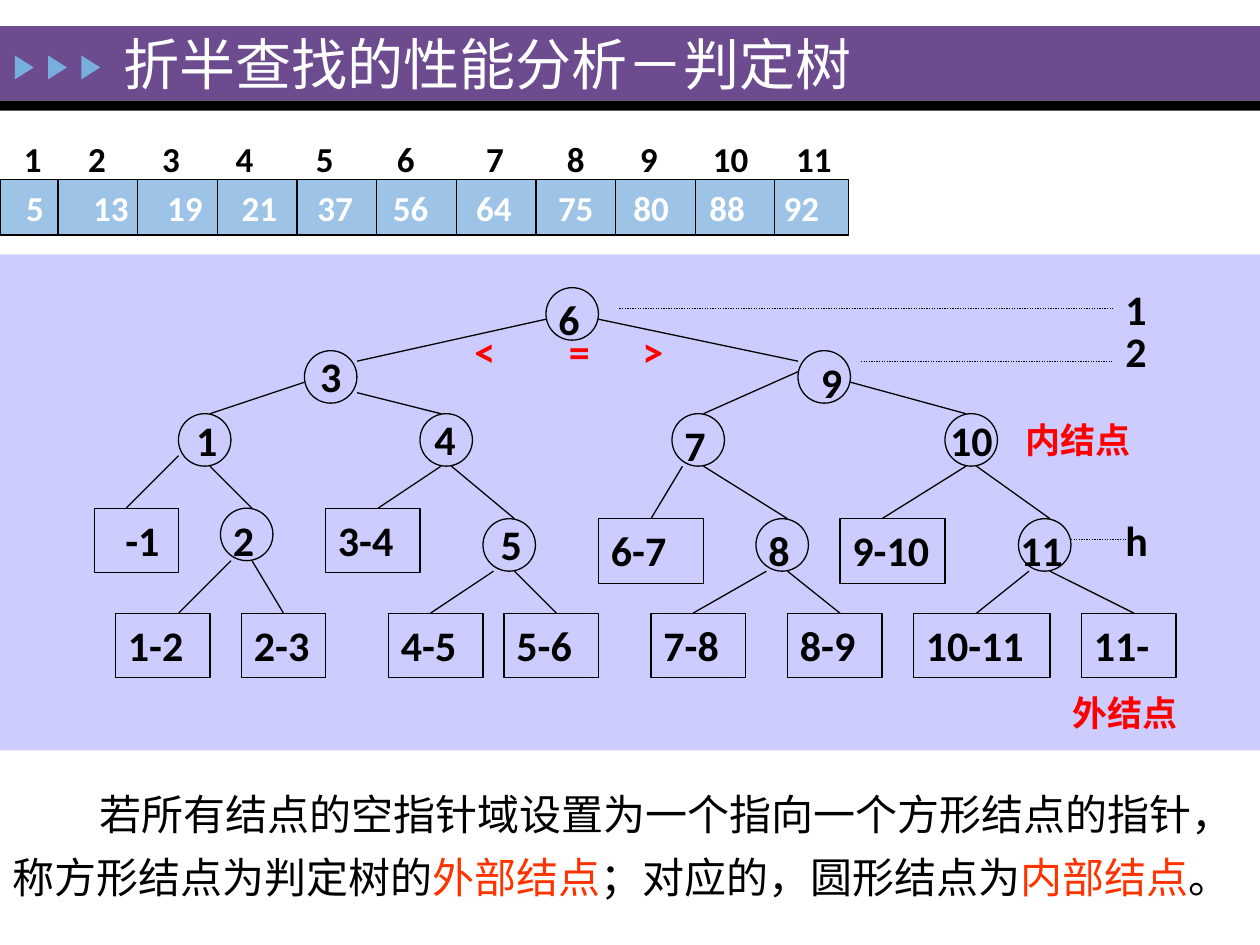
from lxml.etree import SubElement
from pptx import Presentation
from pptx.dml.color import RGBColor
from pptx.enum.dml import MSO_LINE
from pptx.enum.shapes import MSO_CONNECTOR, MSO_SHAPE
from pptx.enum.text import MSO_ANCHOR, PP_ALIGN
from pptx.oxml.ns import qn
from pptx.util import Cm, Pt

COLORS = {
    "banner": "6C4C8F", "arrow": "76AEDD", "panel": "CCCCFF", "array": "9DC3E6",
    "black": "000000", "white": "FFFFFF", "red": "FF0000", "accent": "FF3300",
}
UNIT = 2.54 / 12
TREE_TOP = 5.8
NODE_SIZE = 5
LEAF_HEIGHT = 6.15

INDEXES = list(range(1, 12))
INDEX_TABS = [1.3, 2.79, 4.27, 5.89, 7.52, 9.32, 10.95, 12.42, 13.89, 15.57]
VALUES = [5, 13, 19, 21, 37, 56, 64, 75, 80, 88, 92]
VALUE_TABS = [1.35, 2.84, 4.34, 5.87, 7.39, 9.07, 10.72, 12.24, 13.77, 15.27]

# Tree measures count grid units: column, row, then label column and row or leaf width.
NODES = [
    ("6", 52, 0, 52, 0), ("3", 29, 6, 29.3, 5.4), ("9", 76, 6, 77, 6),
    ("1", 17, 12, 17.5, 11.5), ("4", 40, 12, 40.2, 11.4), ("7", 64, 12, 64, 12),
    ("10", 90, 12, 89.3, 11.5), ("2", 21, 21, 21, 21), ("5", 46, 22, 46.5, 21.4),
    ("8", 72, 22, 72, 22), ("11", 97, 22, 96, 22),
]
LEAVES = [
    ("-1", 9, 21, 8), ("3-4", 31, 21, 9), ("6-7", 57, 22, 10), ("9-10", 80, 22, 10),
    ("1-2", 11, 31, 9), ("2-3", 23, 31, 8), ("4-5", 37, 31, 9), ("5-6", 48, 31, 9),
    ("7-8", 62, 31, 9), ("8-9", 75, 31, 9), ("10-11", 87, 31, 13), ("11-", 103, 31, 9),
]
EDGES = [
    (52, 3, 34, 7), (57, 3, 76, 7), (29, 9, 20, 12), (34, 10, 42, 12),
    (76, 8, 67, 12), (81, 9, 92, 12), (17, 16, 12, 21), (20, 17, 24, 21),
    (42, 17, 36, 21), (43, 17, 49, 22), (65, 17, 62, 22), (67, 17, 75, 22),
    (92, 17, 84, 22), (93, 17, 100, 22), (22, 26, 17, 31), (24, 26, 27, 31),
    (47, 27, 41, 31), (49, 27, 53, 31), (73, 27, 66, 31), (75, 27, 80, 31),
    (98, 27, 93, 31), (100, 27, 108, 31),
]
LEVEL_LINES = [(59, 2, 106, 2), (82, 7, 106, 7), (102, 24, 108, 24)]
TREE_LABELS = [
    ("1", 106, -1, 6, 24, "black"), ("2", 106, 3, 7, 24, "black"),
    ("h", 106, 21, 6, 24, "black"), ("外结点", 101, 37.9, 13, 20, "red"),
    ("内结点", 96.5, 11.9, 13, 20, "red"), (">", 60, 3, 9, 24, "red"),
    ("<", 44, 3, 6, 24, "red"), ("=", 53, 3, 7, 24, "red"),
]
EXPLANATION = [
    ("若所有结点的空指针域设置为一个指向一个方形结点的指针，称方形结点为判定树的", "black"),
    ("外部结点", "accent"), ("；对应的，圆形结点为", "black"),
    ("内部结点", "accent"), ("。", "black"),
]


def rgb(name):
    """Return the named colour."""
    return RGBColor.from_string(COLORS[name])


def tree_x(column):
    """Convert a tree column to centimetres."""
    return column * UNIT


def tree_y(row):
    """Convert a tree row to centimetres."""
    return TREE_TOP + row * UNIT


def write_text(shape, text, size=24, color="black", bold=False, anchor=MSO_ANCHOR.TOP,
               wrap=True, first_indent=0, line_spacing=None, inset=0.25, tabs=()):
    """Write a string, or a list of (string, colour) runs, into a shape."""
    frame = shape.text_frame
    frame.word_wrap = wrap
    frame.vertical_anchor = anchor
    frame.margin_left = Cm(inset)
    paragraph = frame.paragraphs[0]
    paragraph.alignment = PP_ALIGN.LEFT
    if line_spacing:
        paragraph.line_spacing = line_spacing
    properties = paragraph._p.get_or_add_pPr()
    if first_indent:
        properties.set("marL", "0")
        properties.set("indent", str(Cm(first_indent)))
    if tabs:
        tab_list = SubElement(properties, qn("a:tabLst"))
        for position in tabs:
            SubElement(tab_list, qn("a:tab"), pos=str(Cm(position)), algn="l")
    for words, run_color in [(text, color)] if isinstance(text, str) else text:
        run = paragraph.add_run()
        run.text = words
        run.font.name = "Calibri"
        run.font.size = Pt(size)
        run.font.bold = bold
        run.font.color.rgb = rgb(run_color)


def add_text(slide, text, left, top, width, height, **text_format):
    """Add a text box with formatted text."""
    box = slide.shapes.add_textbox(Cm(left), Cm(top), Cm(width), Cm(height))
    write_text(box, text, **text_format)


def add_block(slide, kind, left, top, width, height, fill=None, outlined=False):
    """Add a preset shape with an optional fill and thin black outline."""
    shape = slide.shapes.add_shape(kind, Cm(left), Cm(top), Cm(width), Cm(height))
    shape.shadow.inherit = False
    if fill:
        shape.fill.solid()
        shape.fill.fore_color.rgb = rgb(fill)
    else:
        shape.fill.background()
    if outlined:
        shape.line.color.rgb = rgb("black")
        shape.line.width = Pt(0.75)
    else:
        shape.line.fill.background()
    return shape


def add_line(slide, start_x, start_y, end_x, end_y, dotted=False):
    """Add a thin straight connector."""
    line = slide.shapes.add_connector(
        MSO_CONNECTOR.STRAIGHT, Cm(start_x), Cm(start_y), Cm(end_x), Cm(end_y))
    line.line.color.rgb = rgb("black")
    line.line.width = Pt(0.75)
    if dotted:
        line.line.dash_style = MSO_LINE.ROUND_DOT
    SubElement(line._element.spPr, qn("a:effectLst"))
    return line


def add_header(slide):
    """Draw the title banner with its three arrows."""
    add_block(slide, MSO_SHAPE.RECTANGLE, 0, 0.53, 25.4, 1.5, "banner")
    add_block(slide, MSO_SHAPE.RECTANGLE, 0, 2.03, 25.4, 0.2, "black")
    for position in range(3):
        arrow = add_block(slide, MSO_SHAPE.ISOSCELES_TRIANGLE,
                          0.25 + 0.67 * position, 1.17, 0.48, 0.38, "arrow")
        arrow.rotation = 90
    add_text(slide, "折半查找的性能分析－判定树", 2.24, 0.56, 20.62, 1.42,
             size=32, color="white", anchor=MSO_ANCHOR.MIDDLE)


def add_array(slide):
    """Draw the sorted array with its indexes above."""
    add_text(slide, "\t".join(map(str, INDEXES)), 0.23, 2.64, 16.9, 1.11,
             size=20, bold=True, wrap=False, tabs=INDEX_TABS)
    array = add_block(slide, MSO_SHAPE.RECTANGLE, 0, 3.62, 17.1, 1.12, "array", True)
    write_text(array, "\t".join(map(str, VALUES)), size=20, color="white", bold=True,
               anchor=MSO_ANCHOR.MIDDLE, wrap=False, inset=0.53, tabs=VALUE_TABS)
    first, last = 1.17, 15.62
    gaps = len(VALUES) - 2
    for position in range(gaps + 1):
        column = first + (last - first) * position / gaps
        add_line(slide, column, 3.62, column, 4.74)


def add_tree(slide):
    """Draw the decision tree with its nodes, leaves, edges and labels."""
    add_block(slide, MSO_SHAPE.RECTANGLE, 0, 5.13, 25.4, 10, "panel")
    leaf_tops = {}
    for text, column, row, width in LEAVES:
        leaf = add_block(slide, MSO_SHAPE.RECTANGLE, tree_x(column), tree_y(row),
                         width * UNIT, LEAF_HEIGHT * UNIT, outlined=True)
        write_text(leaf, text, bold=True, first_indent=0.37 if text == "-1" else 0)
        leaf_tops[column + width / 2, row] = leaf
    for text, column, row, label_column, label_row in NODES:
        add_block(slide, MSO_SHAPE.OVAL, tree_x(column), tree_y(row),
                  NODE_SIZE * UNIT, NODE_SIZE * UNIT, outlined=True)
        add_text(slide, text, tree_x(label_column), tree_y(label_row),
                 7 * UNIT, 6 * UNIT, bold=True)
    for dotted, lines in ((False, EDGES), (True, LEVEL_LINES)):
        for start_column, start_row, end_column, end_row in lines:
            line = add_line(slide, tree_x(start_column), tree_y(start_row),
                            tree_x(end_column), tree_y(end_row), dotted)
            if (end_column, end_row) in leaf_tops:
                line.end_connect(leaf_tops[end_column, end_row], 0)
    for text, column, row, width, size, color in TREE_LABELS:
        add_text(slide, text, tree_x(column), tree_y(row), width * UNIT,
                 size / 4 * UNIT, size=size, color=color, bold=True)


def main():
    """Build and save the slide."""
    presentation = Presentation()
    presentation.slide_width = Cm(25.4)
    presentation.slide_height = Cm(19.05)
    slide = presentation.slides.add_slide(presentation.slide_layouts[6])
    add_header(slide)
    add_tree(slide)
    add_array(slide)
    add_text(slide, EXPLANATION, 0, 15.52, 25.4, 2.69, first_indent=1.75, line_spacing=1.25)
    presentation.save("out.pptx")


if __name__ == "__main__":
    main()
